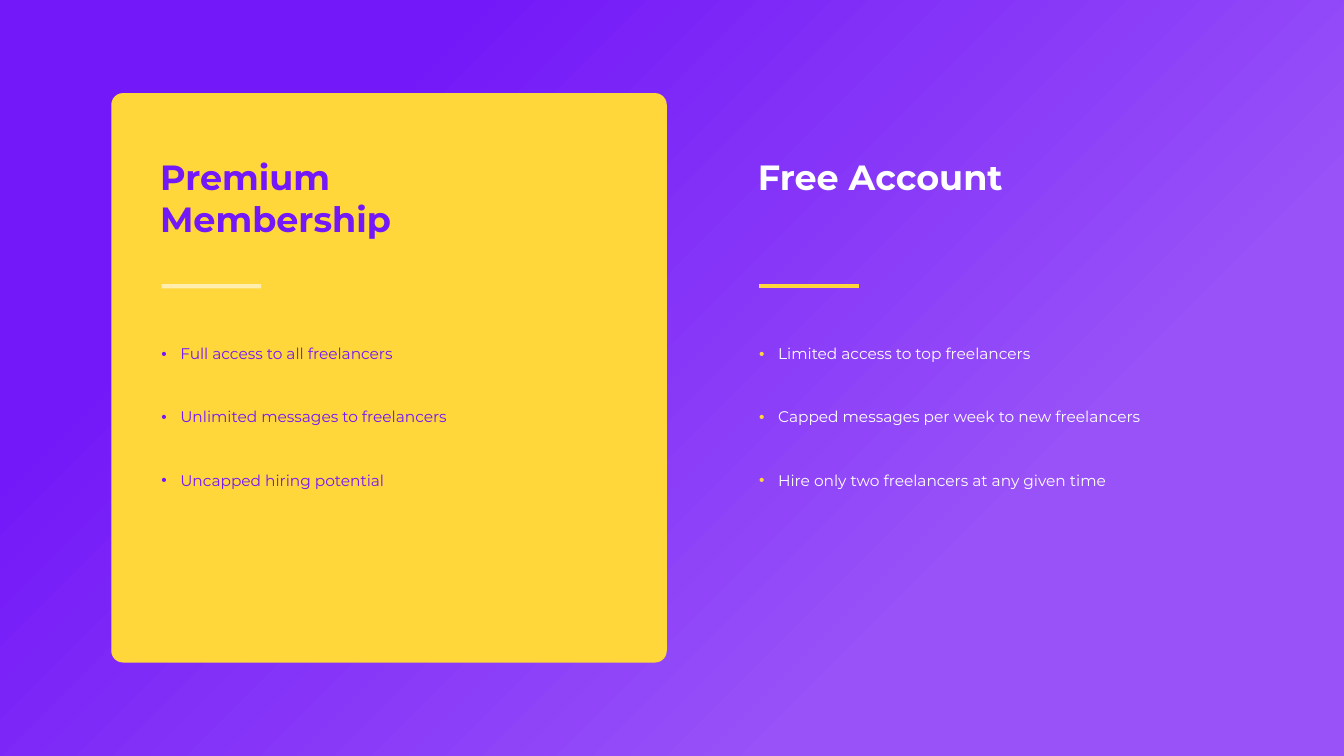
import pptx
import pptx.util
import pptx.dml.color
import pptx.enum.shapes
import pptx.enum.text
import lxml.etree

Pt = pptx.util.Pt
RGBColor = pptx.dml.color.RGBColor
SHAPE = pptx.enum.shapes.MSO_SHAPE

PURPLE = RGBColor(0x73, 0x18, 0xF8)
LILAC = RGBColor(0x98, 0x52, 0xF8)
YELLOW = RGBColor(0xFF, 0xD7, 0x3A)
WHITE = RGBColor(0xFF, 0xFF, 0xFF)
FONT = "Montserrat"
SLIDE_WIDTH, SLIDE_HEIGHT = 1920, 1080
CARD_WIDTH, CARD_HEIGHT = 793.5, 813.5
COLUMN_STEP = 854


def add_child(parent, tag, **attributes):
    name = pptx.oxml.ns.qn(tag)
    return lxml.etree.SubElement(parent, name, attributes)


def add_panel(slide, kind, left, top, width, height):
    panel = slide.shapes.add_shape(kind, Pt(left), Pt(top), Pt(width), Pt(height))
    panel.shadow.inherit = False
    panel.line.fill.background()
    return panel


def write_text(placeholder, lines, left, top, width, height, size, color,
               bold=False, bullet_color=None, line_spacing=1.0, gap=0):
    """Move a placeholder to the front, place it and fill it with lines."""
    placeholder._element.getparent().append(placeholder._element)
    placeholder.left, placeholder.top = Pt(left), Pt(top)
    placeholder.width, placeholder.height = Pt(width), Pt(height)
    frame = placeholder.text_frame
    frame.word_wrap = True
    frame.auto_size = pptx.enum.text.MSO_AUTO_SIZE.NONE
    frame.vertical_anchor = pptx.enum.text.MSO_ANCHOR.TOP
    frame.margin_left = frame.margin_right = Pt(3.6)
    frame.margin_top = frame.margin_bottom = Pt(3.6)
    frame.text = "\n".join(lines)
    for paragraph in frame.paragraphs:
        paragraph.alignment = pptx.enum.text.PP_ALIGN.LEFT
        paragraph.line_spacing = line_spacing
        paragraph.space_before, paragraph.space_after = Pt(0), Pt(gap)
        font = paragraph.runs[0].font
        font.name, font.size, font.bold = FONT, Pt(size), bold
        font.color.rgb = color
        if bullet_color is not None:
            properties = paragraph._p.get_or_add_pPr()
            properties.set("marL", str(Pt(27)))
            properties.set("indent", str(Pt(-27)))
            bullet = add_child(properties, "a:buClr")
            add_child(bullet, "a:srgbClr", val=str(bullet_color))
            add_child(properties, "a:buFont", typeface="Arial")
            add_child(properties, "a:buChar", char="•")


def add_rule(slide, left, top, length, color, opacity=100):
    rule = slide.shapes.add_connector(
        pptx.enum.shapes.MSO_CONNECTOR.STRAIGHT,
        Pt(left), Pt(top), Pt(left + length), Pt(top))
    rule.line.color.rgb = color
    rule.line.width = Pt(6)
    add_child(rule._element.spPr, "a:effectLst")
    if opacity < 100:
        color_element = rule._element.spPr.find(".//" + pptx.oxml.ns.qn("a:srgbClr"))
        add_child(color_element, "a:alpha", val=str(opacity * 1000))


def add_background(slide):
    background = add_panel(slide, SHAPE.RECTANGLE, 0, 0, SLIDE_WIDTH, SLIDE_HEIGHT)
    fill = background.fill
    fill.gradient()
    fill.gradient_angle = 315
    for stop, position, color in zip(fill.gradient_stops, (0.22, 0.73), (PURPLE, LILAC)):
        stop.position = position
        stop.color.rgb = color


def add_plan(slide, left, top, heading_box, list_box, heading, benefits,
             text_color, accent, rule_color, rule_opacity=100, card_color=None):
    """Draw one plan column, with all parts placed from its top left corner."""
    if card_color is not None:
        card = add_panel(slide, SHAPE.ROUNDED_RECTANGLE, left, top, CARD_WIDTH, CARD_HEIGHT)
        card.adjustments[0] = 0.021
        card.fill.solid()
        card.fill.fore_color.rgb = card_color
    write_text(list_box, benefits, left + 68, top + 337, 647, 228, size=22,
               color=text_color, bullet_color=accent, line_spacing=Pt(45), gap=45)
    write_text(heading_box, [heading], left + 66, top + 85, 478, 128, size=50,
               color=text_color, bold=True)
    add_rule(slide, left + 72, top + 276, 142, rule_color, rule_opacity)


presentation = pptx.Presentation()
presentation.slide_width, presentation.slide_height = Pt(SLIDE_WIDTH), Pt(SLIDE_HEIGHT)
slide = presentation.slides.add_slide(presentation.slide_layouts.get_by_name("Comparison"))
title, spare, premium_list, free_heading, free_list = slide.placeholders
spare._element.getparent().remove(spare._element)

add_background(slide)

# Premium plan on its card
add_plan(slide, 159, 133, title, premium_list, "Premium Membership",
         ["Full access to all freelancers",
          "Unlimited messages to freelancers",
          "Uncapped hiring potential"],
         text_color=PURPLE, accent=PURPLE, rule_color=WHITE, rule_opacity=59,
         card_color=YELLOW)

# Free plan on the plain background
add_plan(slide, 159 + COLUMN_STEP, 133, free_heading, free_list, "Free Account",
         ["Limited access to top freelancers",
          "Capped messages per week to new freelancers",
          "Hire only two freelancers at any given time"],
         text_color=WHITE, accent=YELLOW, rule_color=YELLOW)

presentation.save("out.pptx")
